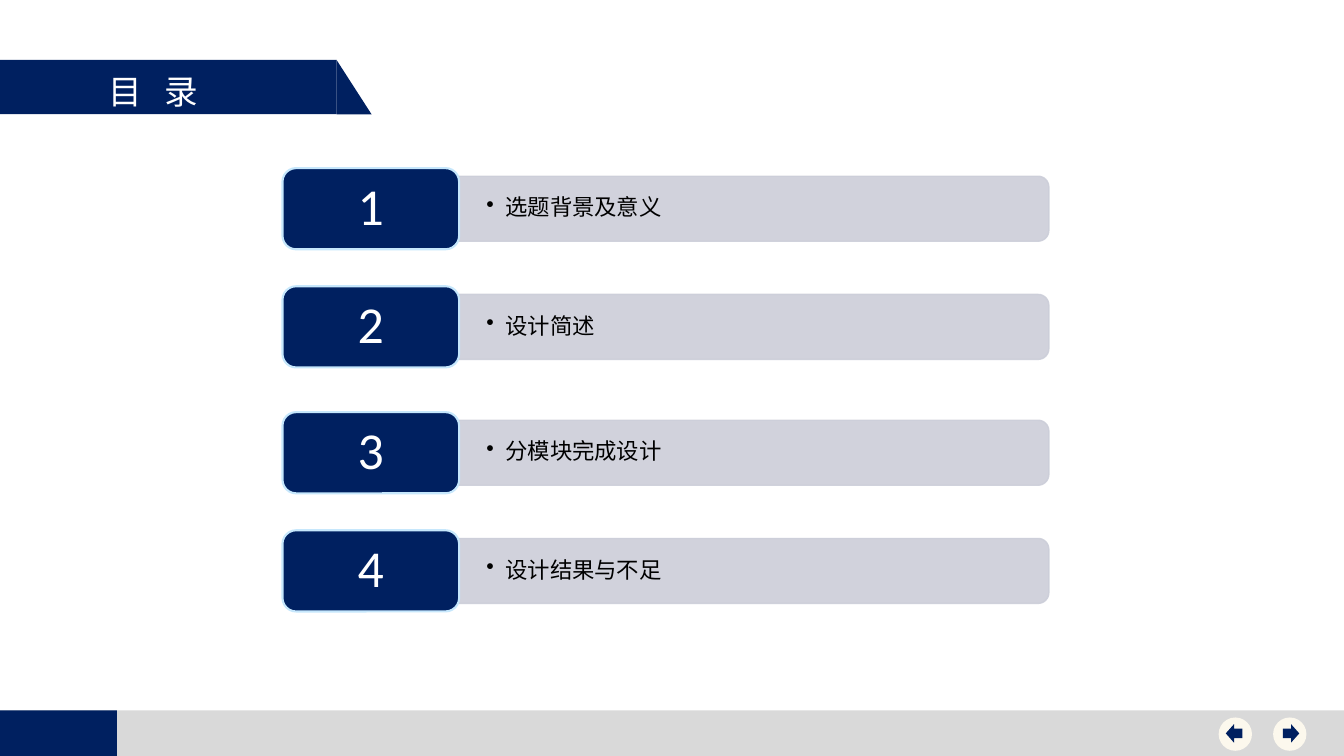
from math import cos, pi, sin

from lxml.etree import SubElement
from pptx import Presentation
from pptx.dml.color import RGBColor
from pptx.enum.shapes import MSO_SHAPE
from pptx.enum.text import MSO_ANCHOR, PP_ALIGN
from pptx.oxml.ns import qn
from pptx.util import Pt

NAVY = "002060"
CREAM = "FCF8ED"
BAR_GREY = "CCCED9"
CJK_FONT = "Noto Sans CJK SC"


def paint(shape, fill, line=None, line_width=1, alpha=None):
    shape.shadow.inherit = False
    shape.fill.solid()
    shape.fill.fore_color.rgb = RGBColor.from_string(fill)
    if line:
        shape.line.color.rgb = RGBColor.from_string(line)
        shape.line.width = Pt(line_width)
    else:
        shape.line.fill.background()
    if alpha:
        for color in list(shape._element.spPr.iter(qn("a:srgbClr"))):
            SubElement(color, qn("a:alpha"), val=str(alpha * 1000))
    return shape


def write_text(shape, text, size, color, font="Calibri", align=PP_ALIGN.LEFT,
               anchor=MSO_ANCHOR.MIDDLE, insets=(7.2, 3.6, 7.2, 3.6),
               line_spacing=None, letter_spacing=None, bullet_indent=None):
    frame = shape.text_frame
    frame.word_wrap = True
    frame.vertical_anchor = anchor
    (frame.margin_left, frame.margin_top,
     frame.margin_right, frame.margin_bottom) = [Pt(inset) for inset in insets]
    paragraph = frame.paragraphs[0]
    paragraph.alignment = align
    paragraph.line_spacing = line_spacing
    run = paragraph.add_run()
    run.text = text
    run.font.size = Pt(size)
    run.font.name = font
    run.font.color.rgb = RGBColor.from_string(color)
    run_properties = run.font._element
    SubElement(run_properties, qn("a:ea"), typeface=CJK_FONT)
    if letter_spacing:
        run_properties.set("spc", str(int(letter_spacing * 100)))
    if bullet_indent:
        paragraph_properties = paragraph._p.get_or_add_pPr()
        paragraph_properties.set("marL", str(Pt(bullet_indent)))
        paragraph_properties.set("indent", str(-Pt(bullet_indent)))
        SubElement(paragraph_properties, qn("a:buChar"), char="•")


presentation = Presentation()
presentation.slide_width = Pt(960)
presentation.slide_height = Pt(540)
slide = presentation.slides.add_slide(presentation.slide_layouts[6])
shapes = slide.shapes

plain_shapes = [
    (MSO_SHAPE.RECTANGLE, 0, 507.4, 960, 32.6, "D9D9D9"),
    (MSO_SHAPE.RECTANGLE, 0, 507.4, 83.5, 32.6, NAVY),
    (MSO_SHAPE.RECTANGLE, 0, 42.8, 240.4, 38.8, NAVY),
    (MSO_SHAPE.RIGHT_TRIANGLE, 240.4, 42.8, 25, 38.8, NAVY),
    (MSO_SHAPE.OVAL, 909.4, 512.5, 23.8, 23.8, CREAM),
    (MSO_SHAPE.RIGHT_ARROW, 916.3, 517.2, 11.8, 13.3, NAVY),
    (MSO_SHAPE.OVAL, 870.5, 512.5, 23.8, 23.8, CREAM),
    (MSO_SHAPE.LEFT_ARROW, 875.6, 517.2, 11.8, 13.3, NAVY),
]
for kind, left, top, width, height, fill in plain_shapes:
    paint(shapes.add_shape(kind, Pt(left), Pt(top), Pt(width), Pt(height)), fill)

title = shapes.add_textbox(Pt(70.6), Pt(46.8), Pt(117.4), Pt(36))
write_text(title, "目 录", 24, "FFFFFF", font=CJK_FONT,
           anchor=MSO_ANCHOR.TOP, letter_spacing=5.4)

box_left, box_width, box_height = 201.8, 126.2, 58
bar_left, bar_right, bar_height, radius = 328, 749.2, 46.4, 7.7
first_top, row_pitch, pair_pitch = 120.1, 84.4, 174.3
topics = ["选题背景及意义", "设计简述", "分模块完成设计", "设计结果与不足"]

for index, topic in enumerate(topics):
    top = first_top + pair_pitch * (index // 2) + row_pitch * (index % 2)
    bar_top = top + (box_height - bar_height) / 2
    bar_bottom = bar_top + bar_height

    outline = []
    for center_y, start in ((bar_top + radius, -pi / 2), (bar_bottom - radius, 0)):
        for step in range(9):
            angle = start + step * pi / 16
            outline.append((Pt(bar_right - radius + radius * cos(angle)),
                            Pt(center_y + radius * sin(angle))))
    outline.append((Pt(bar_left), Pt(bar_bottom)))
    builder = shapes.build_freeform(Pt(bar_left), Pt(bar_top))
    builder.add_line_segments(outline, close=True)
    bar = paint(builder.convert_to_shape(), BAR_GREY, line=BAR_GREY, alpha=90)
    write_text(bar, topic, 16, "000000", insets=(19.5, 12, 21.8, 12),
               line_spacing=0.9, bullet_indent=13.5)

    box = shapes.add_shape(MSO_SHAPE.ROUNDED_RECTANGLE, Pt(box_left), Pt(top),
                           Pt(box_width), Pt(box_height))
    paint(box, NAVY, line="C6E7FC", line_width=1.5)
    write_text(box, str(index + 1), 37, "FFFFFF", align=PP_ALIGN.CENTER,
               insets=(13.7, 8.6, 13.7, 8.6), line_spacing=0.9)

presentation.save("out.pptx")
